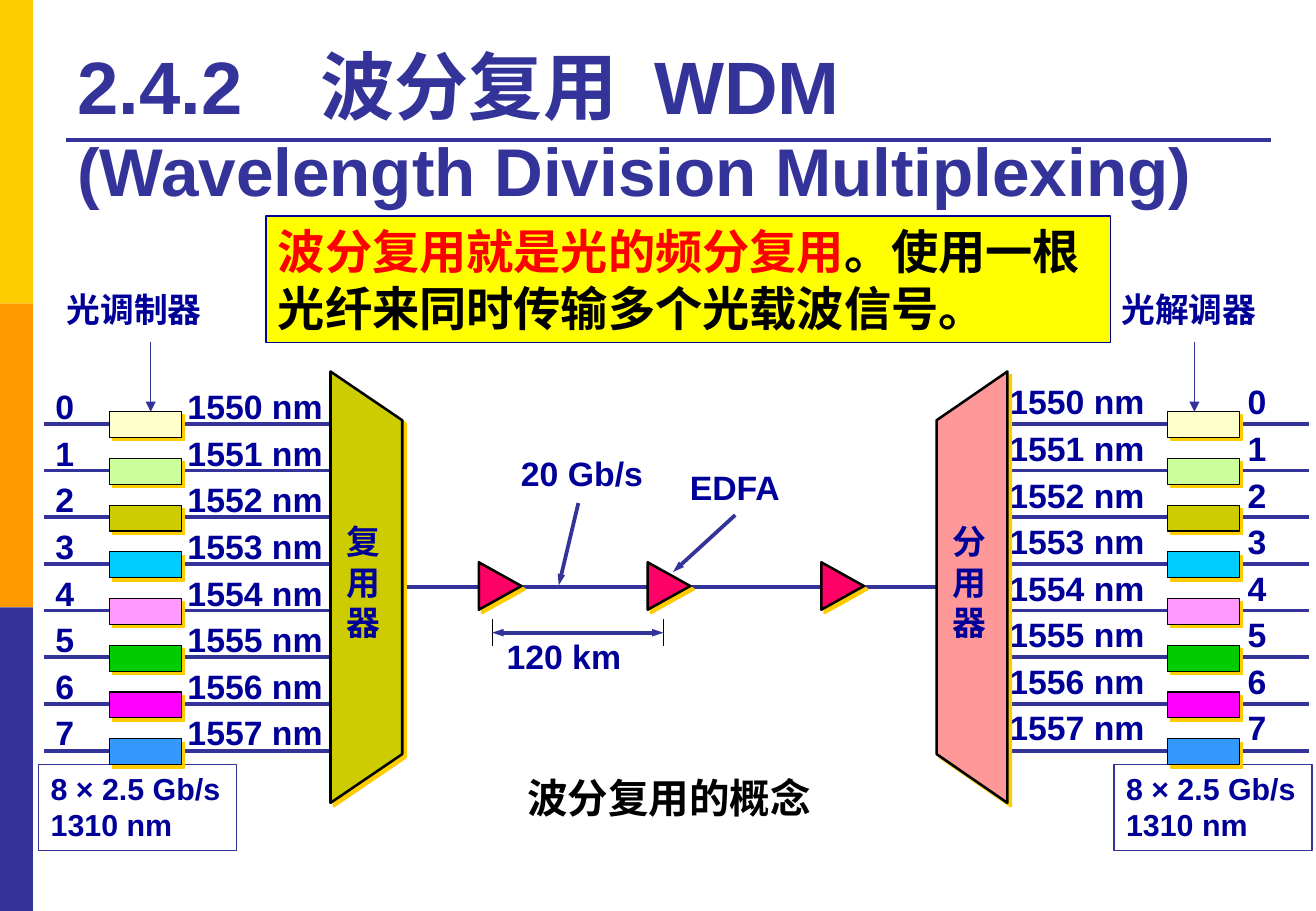
from lxml import etree
from pptx import Presentation
from pptx.dml.color import RGBColor
from pptx.enum.shapes import MSO_CONNECTOR, MSO_SHAPE
from pptx.enum.text import MSO_ANCHOR, PP_ALIGN
from pptx.oxml.ns import qn
from pptx.util import Cm, Pt

STRAIGHT = MSO_CONNECTOR.STRAIGHT
RECTANGLE = MSO_SHAPE.RECTANGLE
TRIANGLE = MSO_SHAPE.ISOSCELES_TRIANGLE
BOTTOM = MSO_ANCHOR.BOTTOM
CENTER = PP_ALIGN.CENTER

THEME = {
    "font": "Arial",
    "indigo": RGBColor.from_string("333399"),
    "navy": RGBColor.from_string("000099"),
    "black": RGBColor.from_string("000000"),
    "red": RGBColor.from_string("FF0000"),
    "yellow": RGBColor.from_string("FFFF00"),
    "amplifier": RGBColor.from_string("FF0066"),
    "multiplexer": RGBColor.from_string("CCCC00"),
    "demultiplexer": RGBColor.from_string("FF9999"),
    "shadow": "FFCC00",
    "sidebar": ["FFCC00", "FF9900", "333399"],
    "channels": ["FFFFCC", "CCFF99", "CCCC00", "00CCFF",
                 "FF99FF", "00CC00", "FF00FF", "3399FF"],
    "title": Pt(44), "subtitle": Pt(40), "definition": Pt(28),
    "caption": Pt(24), "label": Pt(20), "rate": Pt(18),
    "thin": Pt(0.75), "outline": Pt(1.5), "thick": Pt(2.25),
}

presentation = Presentation()
presentation.slide_width, presentation.slide_height = Cm(27.51), Cm(19.05)
slide = presentation.slides.add_slide(presentation.slide_layouts[6])


def add_text(left, top, width, height, text, size="label", color="navy", tabs=()):
    box = slide.shapes.add_textbox(Cm(left), Cm(top), Cm(width), Cm(height))
    box.text_frame.word_wrap = True
    box.text_frame.text = text
    for paragraph in box.text_frame.paragraphs:
        if tabs:
            properties = paragraph._p.get_or_add_pPr()
            tab_list = etree.SubElement(properties, qn("a:tabLst"))
            for position in tabs:
                etree.SubElement(tab_list, qn("a:tab"), pos=str(Cm(position)), algn="l")
        for run in paragraph.runs:
            run.font.name = THEME["font"]
            run.font.size = THEME[size]
            run.font.bold = True
            run.font.color.rgb = THEME[color]
    return box


def add_line(x1, y1, x2, y2, width="thick", color="indigo", arrows=()):
    line = slide.shapes.add_connector(STRAIGHT, Cm(x1), Cm(y1), Cm(x2), Cm(y2))
    line.line.color.rgb = THEME[color]
    line.line.width = THEME[width]
    head_width = "sm" if width == "thick" else "med"
    for end in arrows:
        etree.SubElement(line.line._get_or_add_ln(), qn("a:" + end),
                         type="triangle", w=head_width, len="med")
    etree.SubElement(line._element.spPr, qn("a:effectLst"))


# Sidebar and title rule
for index, color in enumerate(THEME["sidebar"]):
    band = slide.shapes.add_shape(RECTANGLE, 0, Cm(6.35 * index), Cm(0.69), Cm(6.35))
    band.shadow.inherit = False
    band.fill.solid()
    band.fill.fore_color.rgb = RGBColor.from_string(color)
    band.line.fill.background()
add_line(1.37, 2.92, 26.57, 2.92)

# Title
title = add_text(1.37, 0.53, 25.17, 3.99,
                 "2.4.2\t波分复用\tWDM\v(Wavelength Division Multiplexing)",
                 "title", "indigo", tabs=(5.08, 12.06))
title.text_frame.vertical_anchor = BOTTOM
title.text_frame.paragraphs[0].runs[-1].font.size = THEME["subtitle"]

# Definition
definition = add_text(5.56, 4.52, 17.65, 2.64, "波分复用就是光的频分复用",
                      "definition", "red")
definition.fill.solid()
definition.fill.fore_color.rgb = THEME["yellow"]
definition.line.color.rgb = THEME["navy"]
definition.line.width = THEME["thin"]
ending = definition.text_frame.paragraphs[0].add_run()
ending.text = "。使用一根光纤来同时传输多个光载波信号。"
ending.font.name = THEME["font"]
ending.font.size = THEME["definition"]
ending.font.bold = True
ending.font.color.rgb = THEME["black"]

# Channels on both sides: wavelengths, fibres, modulators
shadowed = []  # (shape, fill, outline width)
row_pitch = 6.84 / 7
left_rows = "\n".join(f"{n}\t{1550 + n} nm" for n in range(8))
right_rows = "\n".join(f"{1550 + n} nm\t{n}" for n in range(8))
sides = [
    # rows, text left, text top, tab, fibre left, modulator left, rate left,
    # heading, heading left, arrow x
    (left_rows, 0.91, 7.82, 2.76, 0.91, 2.29, 0.81, "光调制器", 1.14, 3.15),
    (right_rows, 20.85, 7.72, 4.98, 21.06, 24.41, 23.29, "光解调器", 23.19, 24.97),
]
for (rows, text_left, text_top, tab, fibre_left, modulator_left, rate_left,
     heading, heading_left, arrow_x) in sides:
    wavelengths = add_text(text_left, text_top, 6.5, 8.13, rows, tabs=(tab,))
    for paragraph in wavelengths.text_frame.paragraphs:
        paragraph.line_spacing = Pt(27.6)
    rate = add_text(rate_left, 15.98, 4.14, 1.8, "8 × 2.5 Gb/s\n1310 nm", "rate")
    rate.line.color.rgb = THEME["indigo"]
    rate.line.width = THEME["thin"]
    for index, color in enumerate(THEME["channels"]):
        fibre_y = 8.86 + index * row_pitch
        add_line(fibre_left, fibre_y, fibre_left + 6.3, fibre_y)
        modulator = slide.shapes.add_shape(
            RECTANGLE, Cm(modulator_left), Cm(fibre_y - 0.25), Cm(1.5), Cm(0.54))
        shadowed.append((modulator, RGBColor.from_string(color), "thin"))
    add_text(heading_left, 5.92, 3.5, 1.12, heading)
    add_line(arrow_x, 7.16, arrow_x, 8.61, "thin", arrows=("tailEnd",))

# Trunk fibre with amplifiers
add_line(7.37, 12.27, 20.9, 12.27)
for left in (9.96, 13.49, 17.12):
    amplifier = slide.shapes.add_shape(TRIANGLE, Cm(left), Cm(11.81), Cm(0.99), Cm(0.89))
    amplifier.rotation = 90
    shadowed.append((amplifier, THEME["amplifier"], "outline"))

# Multiplexer and demultiplexer
for outer_x, inner_x, color, label_left, label in (
        (6.91, 8.41, "multiplexer", 6.99, "复\n用\n器"),
        (21.06, 19.58, "demultiplexer", 19.66, "分\n用\n器")):
    builder = slide.shapes.build_freeform(Cm(outer_x), Cm(16.79))
    builder.add_line_segments([(Cm(inner_x), Cm(15.77)), (Cm(inner_x), Cm(8.79)),
                               (Cm(outer_x), Cm(7.77))])
    shadowed.append((builder.convert_to_shape(), THEME[color], "outline"))
    add_text(label_left, 10.77, 1.25, 2.82, label)

# Fill, outline and offset shadow of the devices
for shape, fill, width in shadowed:
    shape.fill.solid()
    shape.fill.fore_color.rgb = fill
    shape.line.color.rgb = THEME["black"]
    shape.line.width = THEME[width]
    shape.shadow.inherit = False
    effects = shape._element.spPr.find(qn("a:effectLst"))
    shadow = etree.SubElement(effects, qn("a:outerShdw"), blurRad="0",
                              dist=str(Pt(2.8)), dir="2700000", algn="ctr",
                              rotWithShape="0")
    etree.SubElement(shadow, qn("a:srgbClr"), val=THEME["shadow"])

# Trunk labels and amplifier spacing
add_text(10.64, 9.35, 3.3, 1.12, "20 Gb/s")
add_line(12.09, 10.52, 11.68, 12.24, arrows=("tailEnd",))
add_text(14.17, 9.63, 2.6, 1.12, "EDFA")
add_line(15.37, 10.77, 14.07, 11.96, arrows=("tailEnd",))
for x in (10.29, 13.87):
    add_line(x, 12.95, x, 13.51, "thin", "black")
add_line(10.29, 13.23, 13.87, 13.23, arrows=("headEnd", "tailEnd"))
add_text(10.34, 13.18, 3.2, 1.12, "120 km")

# Caption
caption = add_text(8.41, 16.05, 11.15, 1.27, "波分复用的概念", "caption", "black")
caption.text_frame.paragraphs[0].alignment = CENTER

presentation.save("out.pptx")
